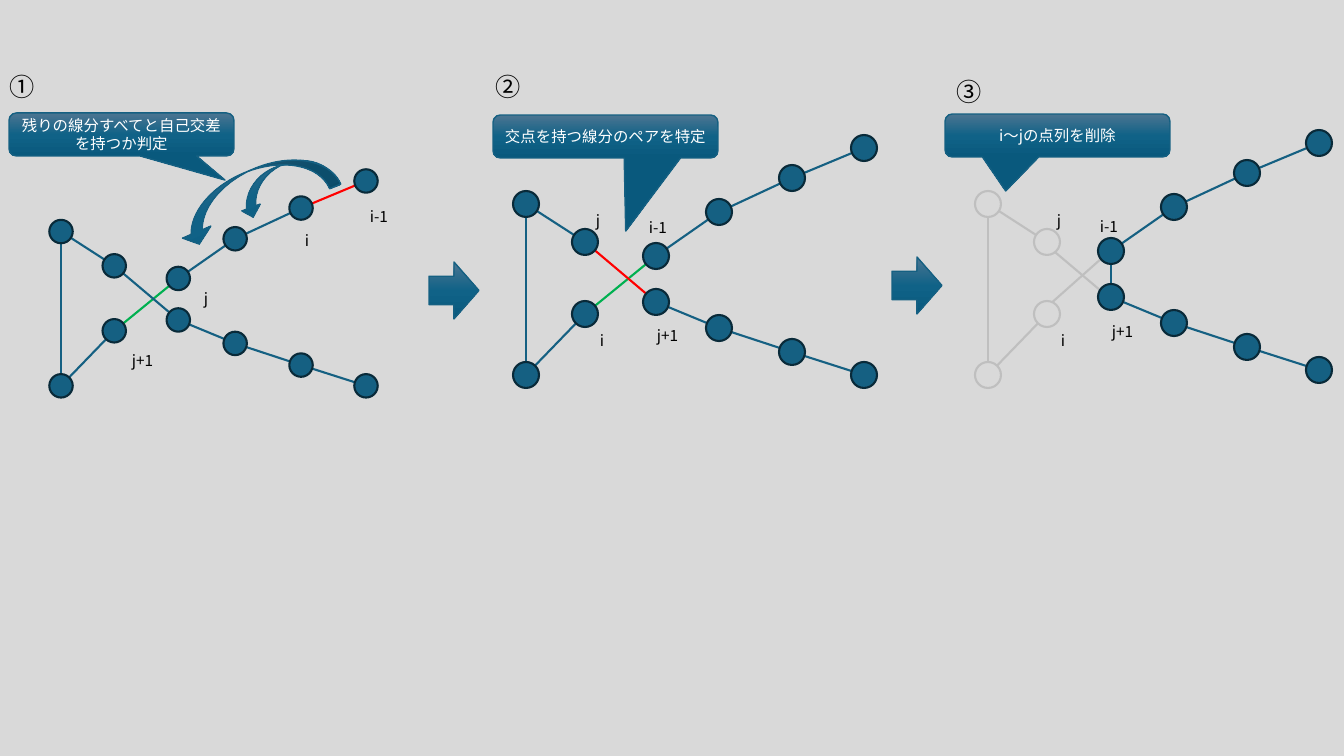
from lxml.etree import SubElement
from pptx import Presentation
from pptx.dml.color import RGBColor
from pptx.enum.shapes import MSO_CONNECTOR, MSO_SHAPE
from pptx.enum.text import MSO_ANCHOR, MSO_AUTO_SIZE, PP_ALIGN
from pptx.oxml.ns import qn
from pptx.util import Emu, Pt

SCALE = 12192000 / 1344
FONT = "Noto Sans CJK JP"
BLUE, EDGE, PALE, BACK = "156082", "092A39", "BFBFBF", "D9D9D9"
RED, GREEN, BLACK, WHITE = "FF0000", "00B050", "000000", "FFFFFF"
GRADE = {0: "4C7591", 50: "106287", 100: "09597D"}
WIDE = 338
NODES = {
    "a": (338, 0), "b": (266, 30), "c": (193, 64), "d": (130, 108),
    "e": (59, 166), "f": (0, 227), "g": (0, 56), "h": (59, 94),
    "k": (130, 154), "l": (193, 180), "m": (266, 204), "n": (338, 227),
}
WHOLE = "abcdefghklmn"
LOOP = "efgh"


def px(*sizes):
    return [Emu(round(size * SCALE)) for size in sizes]


def color(text):
    return RGBColor.from_string(text)


def apply(item, form):
    for name, value in form.items():
        setattr(item, name, value)


def paint(item, fill, edge, width):
    item.shadow.inherit = False
    item.fill.solid()
    item.fill.fore_color.rgb = color(fill)
    item.line.color.rgb = color(edge)
    item.line.width = Pt(width)


def shade(item):
    paint(item, BLUE, BLUE, 1)
    item.fill.gradient()
    item.fill.gradient_angle = 270
    stops = item.element.spPr.find(qn("a:gradFill")).find(qn("a:gsLst"))
    for old in list(stops):
        stops.remove(old)
    for place, tone in GRADE.items():
        stop = SubElement(stops, qn("a:gs"), pos=str(place * 1000))
        SubElement(stop, qn("a:srgbClr"), val=tone)


def write(item, text, size, tone, frame, align):
    apply(item.text_frame, {"word_wrap": True, **frame})
    line = item.text_frame.paragraphs[0]
    line.alignment = align
    run = line.add_run()
    run.text = text
    apply(run.font, {"name": FONT, "size": Pt(size)})
    run.font.color.rgb = color(tone)
    SubElement(run.font._element, qn("a:ea"), typeface=FONT)


def label(slide, box, text, size=11):
    item = slide.shapes.add_textbox(*px(*box))
    write(item, text, size, BLACK,
          {"auto_size": MSO_AUTO_SIZE.SHAPE_TO_FIT_TEXT}, PP_ALIGN.LEFT)


def link(slide, start, end, tone):
    wire = slide.shapes.add_connector(MSO_CONNECTOR.STRAIGHT, *px(*start, *end))
    wire.line.color.rgb = color(tone)
    wire.line.width = Pt(1.5)
    SubElement(wire.element.spPr, qn("a:effectLst"))


def track(slide, box, names, pairs, tones, fill=BLUE, edge=EDGE, base=BLUE):
    left, top, width = box
    ratio = width / WIDE
    spots = {name: (left + x * ratio, top + y * ratio)
             for name, (x, y) in NODES.items()}
    for pair in pairs:
        link(slide, spots[pair[0]], spots[pair[1]], tones.get(pair, base))
    size = 26 * ratio
    for name in names:
        x, y = spots[name]
        dot = slide.shapes.add_shape(
            MSO_SHAPE.OVAL, *px(x - size / 2, y - size / 2, size, size))
        paint(dot, fill, edge, 1.5)


def tags(slide, box, spots):
    for text, (x, y) in spots.items():
        width = 26 if len(text) == 1 else 50
        label(slide, (box[0] + x, box[1] + y, width, 29), text)


def header(slide, mark, spot, text, place, tip):
    label(slide, (*spot, 45, 40), mark, 18)
    note = slide.shapes.add_shape(
        MSO_SHAPE.ROUNDED_RECTANGULAR_CALLOUT, *px(*place, 225, 43))
    shade(note)
    for index, value in enumerate((*tip, 0.17)):
        note.adjustments[index] = value
    write(note, text, 11, WHITE,
          {"vertical_anchor": MSO_ANCHOR.MIDDLE}, PP_ALIGN.CENTER)


def curve(slide, box, turn, bend):
    arc = slide.shapes.add_shape(MSO_SHAPE.CURVED_DOWN_ARROW, *px(*box))
    shade(arc)
    arc.rotation = turn
    arc.adjustments[1] = bend
    arc.element.spPr.find(qn("a:xfrm")).set("flipH", "1")


def chain(names):
    return [first + second for first, second in zip(names, names[1:])]


def detect(slide, box):
    left, top, _ = box
    track(slide, box, WHOLE, chain(WHOLE), {"ab": RED, "de": GREEN})
    tags(slide, box, {"i": (234, 45), "i-1": (299, 21),
                      "j": (133, 103), "j+1": (61, 165)})
    curve(slide, (left + 173, top - 16, 102, 39), 339.5, 0.5)
    curve(slide, (left + 108, top - 10, 169, 48), 337, 0.64)
    header(slide, "①", (left - 61, top - 115),
           "残りの線分すべてと自己交差を持つか判定",
           (left - 52, top - 68), (0.46, 1.06))


def locate(slide, box):
    left, top, _ = box
    track(slide, box, WHOLE, chain(WHOLE), {"de": GREEN, "hk": RED})
    tags(slide, box, {"i": (64, 178), "i-1": (113, 65),
                      "j": (60, 58), "j+1": (121, 173)})
    header(slide, "②", (left - 40, top - 82), "交点を持つ線分のペアを特定",
           (left - 33, top - 33), (0.09, 2.2))


def remove(slide, box):
    left, top, width = box
    link(slide, (left + 132, top + 94), (left + 60, top + 158), PALE)
    link(slide, (left + 61, top + 99), (left + 132, top + 159), PALE)
    track(slide, (left - 7, top - 5, width), "abcdklmn", chain("abcdklmn"), {})
    track(slide, box, LOOP, chain(LOOP), {}, BACK, PALE, PALE)
    tags(slide, box, {"i": (63, 178), "i-1": (102, 64),
                      "j": (59, 58), "j+1": (114, 169)})
    header(slide, "③", (left - 41, top - 77), "i～jの点列を削除",
           (left - 43, top - 34), (-0.23, 1.29))


def main():
    deck = Presentation()
    deck.slide_width, deck.slide_height = px(1344, 756)
    slide = deck.slides.add_slide(deck.slide_layouts[6])
    slide.background.fill.solid()
    slide.background.fill.fore_color.rgb = color(BACK)
    detect(slide, (61, 181, 305))
    locate(slide, (526, 148, WIDE))
    remove(slide, (988, 148, WIDE))
    for left, top in ((429, 262), (892, 257)):
        shade(slide.shapes.add_shape(
            MSO_SHAPE.RIGHT_ARROW, *px(left, top, 50, 57)))
    deck.save("out.pptx")


if __name__ == "__main__":
    main()
